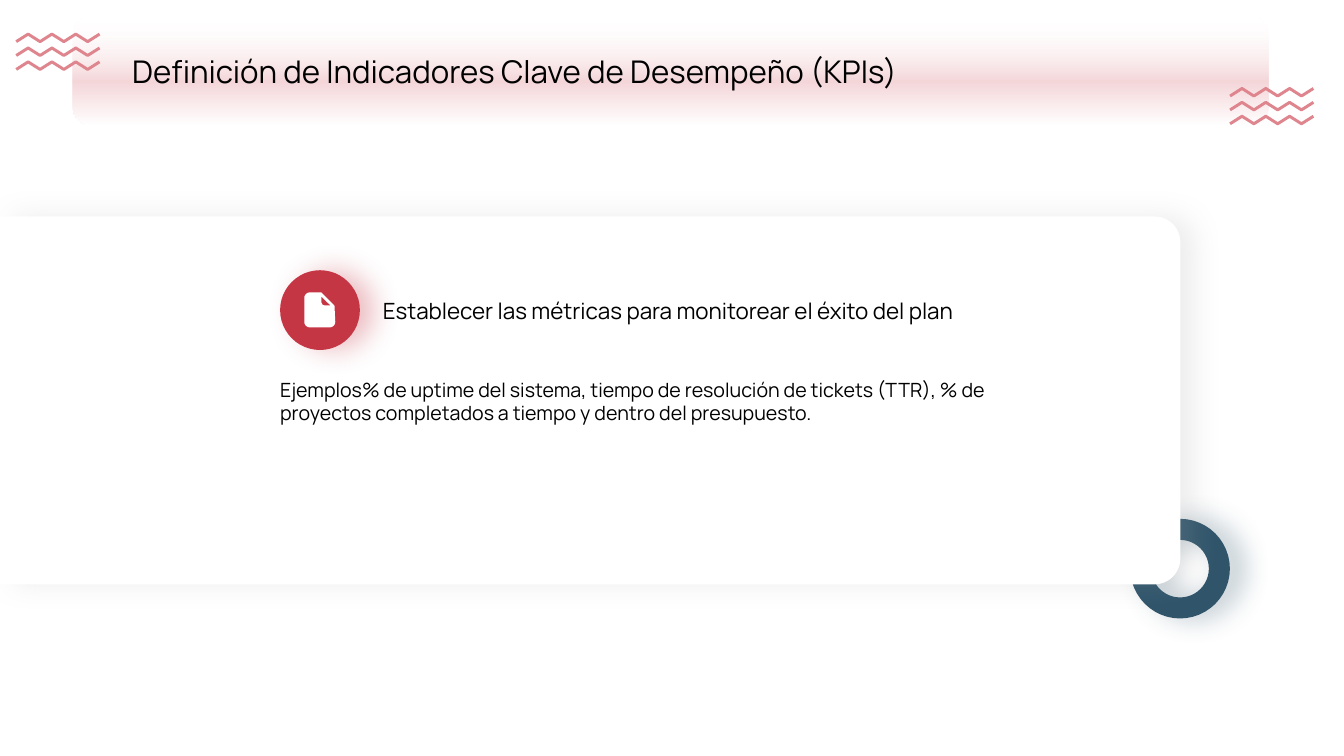
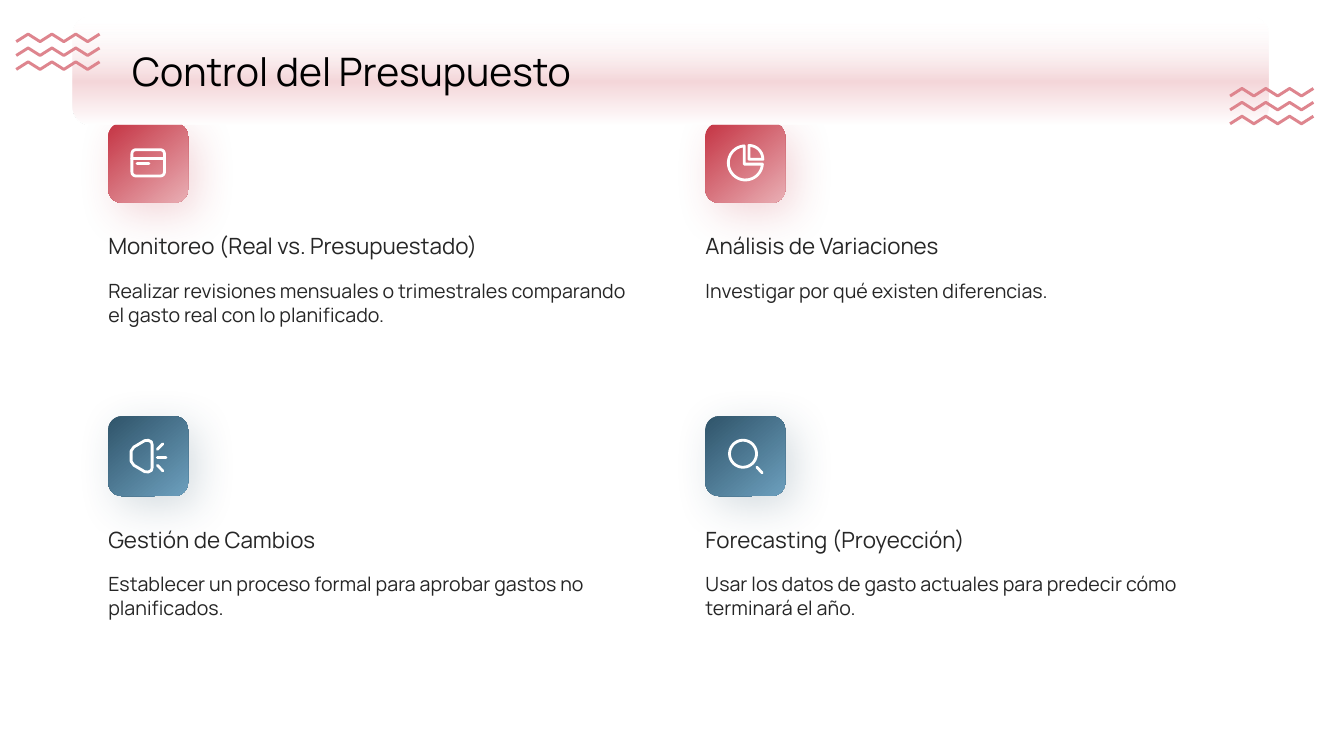
from dataclasses import dataclass
from math import cos, radians, sin
from typing import Optional

from lxml.etree import SubElement
from pptx import Presentation
from pptx.dml.color import RGBColor
from pptx.enum.shapes import MSO_SHAPE as Preset
from pptx.enum.text import MSO_ANCHOR as Anchor
from pptx.oxml.ns import qn
from pptx.util import Cm, Pt

COLORS = {
    "white": "FFFFFF", "black": "000000", "text": "262626", "gray": "A6A6A6",
    "red": "C53645", "pink": "E9AEB4", "blush": "F4D6D9", "wave": "DE858E",
    "navy": "30556B", "sky": "6C9FBD",
}
FONT = "Manrope"
Point = tuple[float, float]


@dataclass(frozen=True)
class Contour:
    points: list[Point]
    closed: bool = False


@dataclass(frozen=True)
class Shadow:
    color: str
    alpha: int
    blur: int
    angle: int = 0


@dataclass(frozen=True)
class Stop:
    position: int
    color: str
    alpha: int = 100


@dataclass(frozen=True)
class Topic:
    icon: str
    heading: str
    body: str


# Outlines: centimetres from the centre of the icon, angles clockwise from the right
def arc(x: float, y: float, radius: float, start: int, end: int) -> list[Point]:
    steps = max(4, (end - start) // 8)
    angles = [radians(start + (end - start) * i / steps) for i in range(steps + 1)]
    return [(x + radius * cos(a), y + radius * sin(a)) for a in angles]


def rounded_box(half_width: float, half_height: float, radius: float) -> list[Point]:
    x, y = half_width - radius, half_height - radius
    return (arc(x, y, radius, 0, 90) + arc(-x, y, radius, 90, 180)
            + arc(-x, -y, radius, 180, 270) + arc(x, -y, radius, 270, 360))


HORN_TOP = [(-0.43, -0.13), (-0.36, -0.23), (-0.09, -0.39), (0, -0.4), (0.08, -0.36), (0.1, -0.29)]
ICONS = {
    "card": [
        Contour(rounded_box(0.41, 0.33, 0.1), True),
        Contour([(-0.41, -0.12), (0.41, -0.12)]),
        Contour([(-0.28, 0.02), (0.02, 0.02)]),
    ],
    "pie": [
        Contour(arc(0, 0, 0.43, 4, 266) + [(-0.03, 0.03)], True),
        Contour([(0.09, -0.09)] + arc(0.09, -0.09, 0.35, 270, 360), True),
    ],
    "horn": [
        Contour(HORN_TOP + [(x, -y) for x, y in reversed(HORN_TOP)], True),
        Contour([(0.23, -0.17), (0.37, -0.31)]),
        Contour([(0.23, 0.03), (0.45, 0.03)]),
        Contour([(0.23, 0.23), (0.37, 0.37)]),
    ],
    "lens": [
        Contour(arc(-0.06, -0.06, 0.34, 0, 360), True),
        Contour([(0.29, 0.28), (0.42, 0.42)]),
    ],
}
DOCUMENT = [
    Contour([(0.04, -0.44), (0.37, -0.11)] + arc(0.25, 0.3, 0.14, 0, 90)
            + arc(-0.25, 0.3, 0.14, 90, 180) + arc(-0.25, -0.3, 0.14, 180, 270), True),
    Contour([(0.04, -0.34), (0.04, -0.19), (0.07, -0.13), (0.13, -0.11), (0.27, -0.11)], True),
]
WAVES = [Contour([(0.3 * i, 0.35 * row + (0 if i % 2 else 0.19)) for i in range(8)])
         for row in range(3)]


# Drawing helpers
def rgb(name: str) -> RGBColor:
    return RGBColor.from_string(COLORS[name])


def add_color(parent, name: str, alpha: int) -> None:
    color = SubElement(parent, qn("a:srgbClr"), val=COLORS[name])
    if alpha < 100:
        SubElement(color, qn("a:alpha"), val=str(alpha * 1000))


def set_shadow(shape, shadow: Shadow) -> None:
    effects = shape._element.spPr.find(qn("a:effectLst"))
    outer = SubElement(effects, qn("a:outerShdw"), blurRad=str(Pt(shadow.blur)),
                       dist=str(Pt(10)), dir=str(shadow.angle * 60000),
                       algn="ctr", rotWithShape="0")
    add_color(outer, shadow.color, shadow.alpha)


def set_gradient(shape, stops: list[Stop], angle: int) -> None:
    shape.fill.gradient()
    gradient = shape._element.spPr.find(qn("a:gradFill"))
    stop_list = gradient.find(qn("a:gsLst"))
    for old_stop in list(stop_list):
        stop_list.remove(old_stop)
    for stop in stops:
        add_color(SubElement(stop_list, qn("a:gs"), pos=str(stop.position * 1000)),
                  stop.color, stop.alpha)
    gradient.find(qn("a:lin")).set("ang", str(angle * 60000))


def style(shape, fill: Optional[str], line: Optional[str], weight: float) -> None:
    shape.shadow.inherit = False
    if fill:
        shape.fill.solid()
        shape.fill.fore_color.rgb = rgb(fill)
    else:
        shape.fill.background()
    if line:
        shape.line.color.rgb = rgb(line)
        shape.line.width = Pt(weight)
    else:
        shape.line.fill.background()


def add_preset(slide, preset, left: float, top: float, width: float, height: float, *,
               fill: Optional[str] = None, line: Optional[str] = None,
               weight: float = 1, shadow: Optional[Shadow] = None):
    shape = slide.shapes.add_shape(preset, Cm(left), Cm(top), Cm(width), Cm(height))
    style(shape, fill, line, weight)
    if shadow:
        set_shadow(shape, shadow)
    return shape


def add_outline(slide, contours: list[Contour], x: float, y: float, *,
                fill: Optional[str] = None, line: Optional[str] = None,
                weight: float = 2, round_ends: bool = False) -> None:
    builder = None
    for contour in contours:
        first, *others = [(Cm(x + dx), Cm(y + dy)) for dx, dy in contour.points]
        if builder is None:
            builder = slide.shapes.build_freeform(*first)
        else:
            builder.move_to(*first)
        builder.add_line_segments(others, close=contour.closed)
    shape = builder.convert_to_shape()
    style(shape, fill, line, weight)
    if round_ends:
        shape._element.spPr.find(qn("a:ln")).set("cap", "rnd")


def add_text(slide, text: str, left: float, top: float, width: float, height: float, *,
             size: float, color: str = "black", anchor=Anchor.MIDDLE) -> None:
    frame = slide.shapes.add_textbox(Cm(left), Cm(top), Cm(width), Cm(height)).text_frame
    frame.margin_left = frame.margin_right = frame.margin_top = frame.margin_bottom = 0
    frame.word_wrap = True
    frame.vertical_anchor = anchor
    paragraph = frame.paragraphs[0]
    paragraph.text = text
    paragraph.font.name = FONT
    paragraph.font.size = Pt(size)
    paragraph.font.color.rgb = rgb(color)


# Title band shared by the slides, laid over the content
def add_title(slide, text: str, size: float) -> None:
    band = add_preset(slide, Preset.ROUNDED_RECTANGLE, 1.83, 0.43, 30.15, 2.7)
    set_gradient(band, [Stop(0, "white", 0), Stop(60, "blush"), Stop(100, "white")], 90)
    add_text(slide, text, 3.33, 0.97, 22.81, 1.65, size=size)
    for left, top in ((0.41, 0.86), (31, 2.23)):
        add_outline(slide, WAVES, left, top, line="wave", weight=2.1)


def add_topic(slide, topic: Topic, left: float, top: float, dark: str, light: str) -> None:
    side, width = 2.01, 13.31
    tile = add_preset(slide, Preset.ROUNDED_RECTANGLE, left, top, side, side,
                      shadow=Shadow(dark, 20, 30, 50))
    set_gradient(tile, [Stop(1, dark), Stop(100, light)], 50)
    add_outline(slide, ICONS[topic.icon], left + side / 2, top + side / 2,
                line="white", round_ends=True)
    add_text(slide, topic.heading, left, top + 2.5, width, 1.19, size=16, color="text")
    add_text(slide, topic.body, left, top + 3.93, width, 2.54, size=14, color="text",
             anchor=Anchor.TOP)


# Slides
def build_indicators(slide) -> None:
    add_preset(slide, Preset.OVAL, 28.75, 13.34, 1.98, 1.98, line="navy", weight=15,
               shadow=Shadow("navy", 32, 20))
    panel = add_preset(slide, Preset.ROUND_2_SAME_RECTANGLE, 10.24, -4.78, 9.27, 29.74,
                       fill="white", shadow=Shadow("gray", 20, 20))
    panel.rotation = 90
    panel.adjustments[0] = 0.07
    add_preset(slide, Preset.OVAL, 7.06, 6.81, 2.01, 2.01, fill="red",
               shadow=Shadow("red", 32, 20))
    add_outline(slide, DOCUMENT, 8.06, 7.81, fill="white")
    add_text(slide, "Establecer las métricas para monitorear el éxito del plan",
             9.65, 6.81, 16.59, 2.01, size=16)
    add_text(slide, "Ejemplos% de uptime del sistema, tiempo de resolución de tickets (TTR), "
             "% de proyectos completados a tiempo y dentro del presupuesto.",
             7.06, 9.52, 19.2, 3.99, size=14, anchor=Anchor.TOP)
    add_title(slide, "Definición de Indicadores Clave de Desempeño (KPIs)", 22.3)


def build_budget(slide) -> None:
    topics = [
        Topic("card", "Monitoreo (Real vs. Presupuestado)",
              "Realizar revisiones mensuales o trimestrales comparando el gasto real "
              "con lo planificado."),
        Topic("pie", "Análisis de Variaciones", "Investigar por qué existen diferencias."),
        Topic("horn", "Gestión de Cambios",
              "Establecer un proceso formal para aprobar gastos no planificados."),
        Topic("lens", "Forecasting (Proyección)",
              "Usar los datos de gasto actuales para predecir cómo terminará el año."),
    ]
    row_colors = [("red", "pink"), ("navy", "sky")]
    for index, topic in enumerate(topics):
        row, column = divmod(index, 2)
        add_topic(slide, topic, 2.73 + 15.05 * column, 3.1 + 7.39 * row, *row_colors[row])
    add_title(slide, "Control del Presupuesto", 28)


def main() -> None:
    presentation = Presentation()
    presentation.slide_width, presentation.slide_height = Cm(33.87), Cm(19.05)
    for build in (build_indicators, build_budget):
        build(presentation.slides.add_slide(presentation.slide_layouts[6]))
    presentation.save("out.pptx")


if __name__ == "__main__":
    main()
